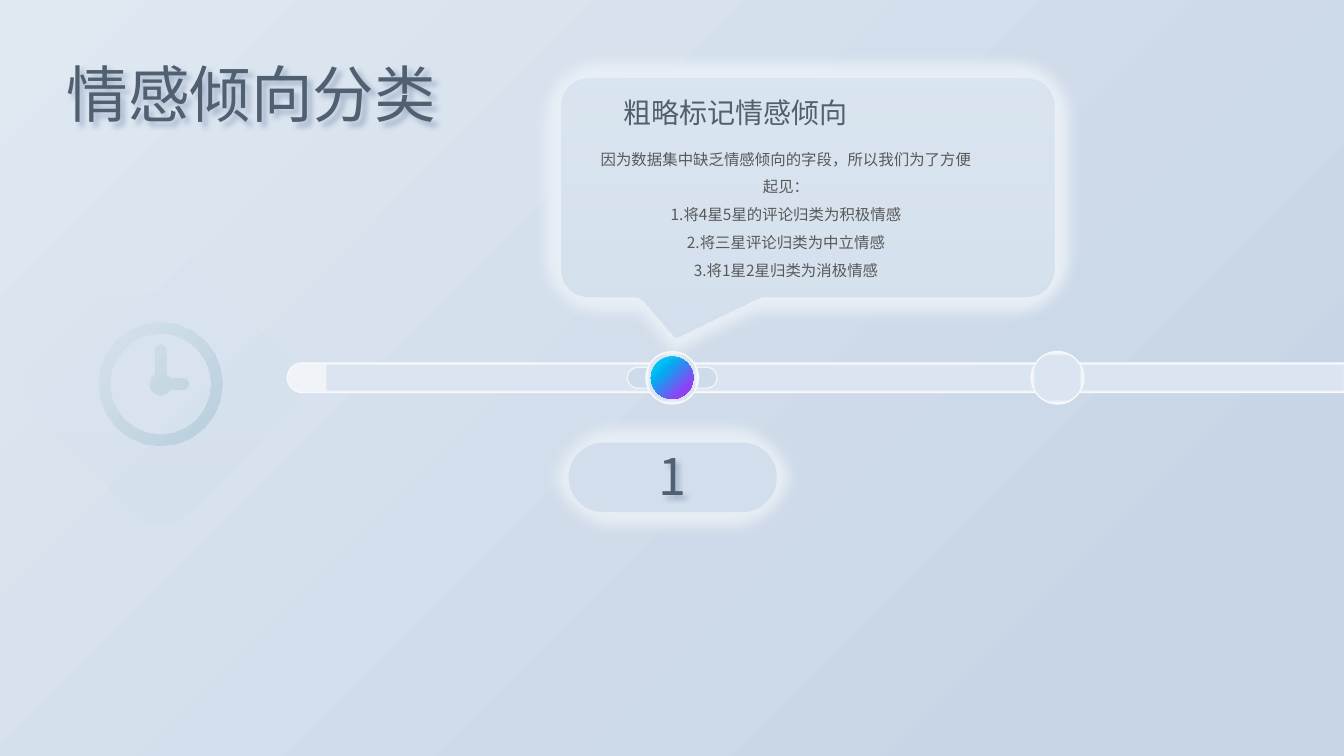
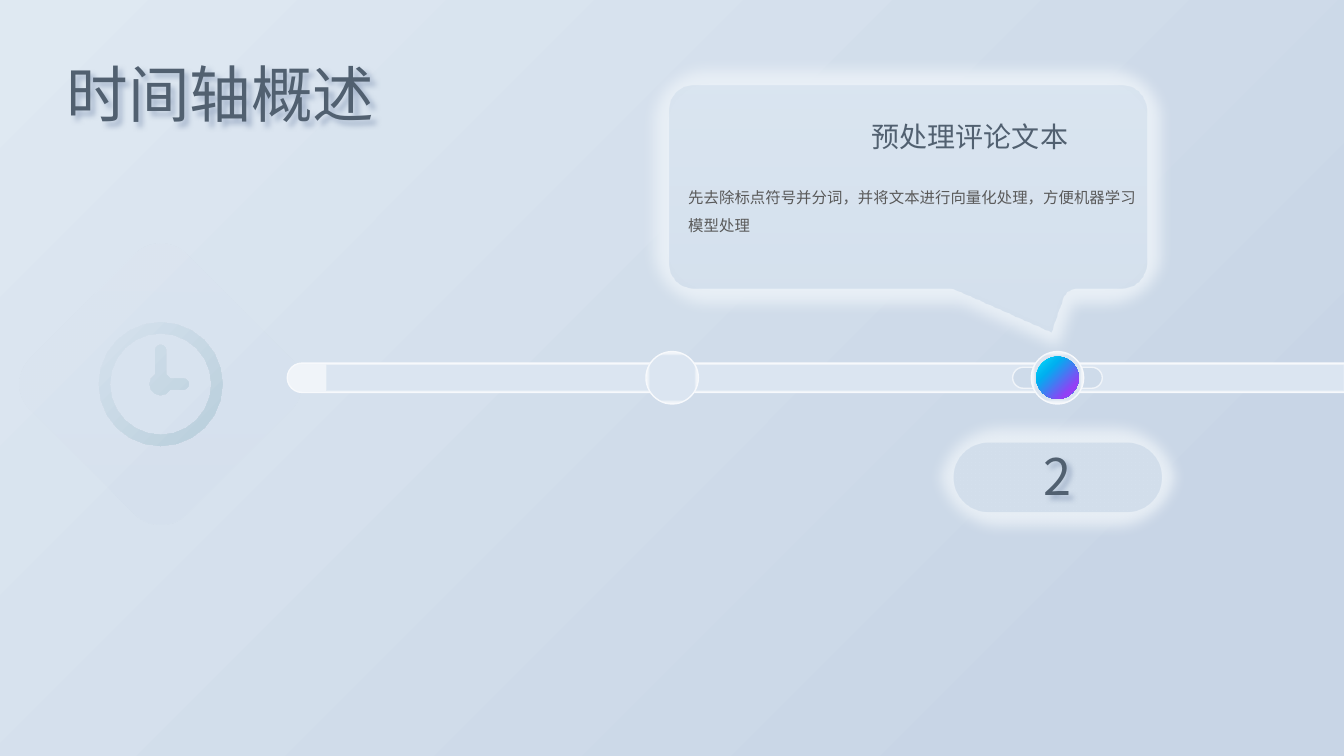
"""Build two timeline slides with soft, glowing callouts."""
import math

from lxml import etree
from pptx import Presentation
from pptx import util as u
from pptx.dml.color import RGBColor
from pptx.enum import shapes as shape_kinds, text
from pptx.oxml import ns

SHAPE = shape_kinds.MSO_SHAPE
ALIGN = text.PP_ALIGN
CJK_JP, CJK_SC = "Noto Sans CJK JP", "Noto Sans CJK SC"
INK, BODY_INK = "516070", "595959"
EDGE, CAPSULE, PILL, HALO = "F7F9FC", "CEDBEA", "D4E0ED", "E8EFF6"
BACKGROUND = [(0, "DFE9F2"), (85, "C8D5E6")]
RAIL = [(84, "DBE5F1"), (93, "F0F4F9")]
ACCENT = [(0, "04DFFB"), (31, "00B0F0"), (79, "9340F5")]
BUBBLE = [(0, "DAE5F0"), (100, "D4E0ED")]
CLOCK = [(0, "D6E2EE"), (100, "B8CEDB")]

TITLE_BOX = (1.42, 1.27, 11.58, 2.13)
STOPS_X = (16.94, 26.65)
AXIS_Y, PILL_Y, NUMBER_Y = 9.52, 12.02, 11.98
CLOCK_CENTER = (4.05, 9.68)

SLIDES = [
    {
        "title": "情感倾向分类",
        "heading": "粗略标记情感倾向",
        "heading_box": (15.42, 2.28, 6.22, 1.12),
        "heading_align": ALIGN.CENTER,
        "body": [
            "因为数据集中缺乏情感倾向的字段，所以我们为了方便起见：",
            "1.将4星5星的评论归类为积极情感",
            "2.将三星评论归类为中立情感",
            "3.将1星2星归类为消极情感",
        ],
        "body_box": (14.87, 3.4, 9.88, 3.78),
        "body_align": ALIGN.CENTER,
        "body_font": CJK_JP,
        "bubble": (13.77, 1.6, 13.13, 6.22),
        "tip": (-0.26, 0.68),
    },
    {
        "title": "时间轴概述",
        "heading": "预处理评论文本",
        "heading_box": (18.05, 2.87, 9.12, 1.12),
        "heading_align": ALIGN.RIGHT,
        "body": ["先去除标点符号并分词，并将文本进行向量化处理，方便机器学习模型处理"],
        "body_box": (17.09, 4.39, 11.81, 1.65),
        "body_align": ALIGN.LEFT,
        "body_font": CJK_SC,
        "bubble": (16.5, 1.78, 12.73, 5.82),
        "tip": (0.3, 0.71),
    },
]


def color(value):
    return RGBColor.from_string(value)


def add_element(parent, tag, **attributes):
    element = etree.SubElement(parent, ns.qn(tag))
    for name, value in attributes.items():
        element.set(name, str(value))
    return element


def set_gradient(fill, parent, stops, angle=None, opacity=100):
    """Fill with colour stops, along an angle or from the centre outwards."""
    fill.solid()
    solid = parent.find(ns.qn("a:solidFill"))
    gradient = etree.Element(ns.qn("a:gradFill"), rotWithShape="1")
    stop_list = add_element(gradient, "a:gsLst")
    for position, value in stops:
        stop = add_element(stop_list, "a:gs", pos=position * 1000)
        tint = add_element(stop, "a:srgbClr", val=value)
        if opacity < 100:
            add_element(tint, "a:alpha", val=opacity * 1000)
    if angle is None:
        center = add_element(gradient, "a:path", path="shape")
        add_element(center, "a:fillToRect", l=50000, t=50000, r=50000, b=50000)
    else:
        add_element(gradient, "a:lin", ang=angle * 60000, scaled=0)
    parent.replace(solid, gradient)


def add_effect(shape, tag, **attributes):
    shape.shadow.inherit = False
    effects = shape.element.spPr.find(ns.qn("a:effectLst"))
    return add_element(effects, tag, **attributes)


def add_text_shadow(shape):
    shadow = add_effect(shape, "a:outerShdw", blurRad=u.Pt(4), dist=u.Pt(4),
                        dir=45 * 60000, algn="tl", rotWithShape=0)
    tint = add_element(shadow, "a:srgbClr", val="8497B5")
    add_element(tint, "a:alpha", val=60000)


def soften(shape, points):
    add_effect(shape, "a:softEdge", rad=u.Pt(points))


def centered(x, y, width, height):
    return x - width / 2, y - height / 2, width, height


def place(shape, box):
    shape.left, shape.top, shape.width, shape.height = map(u.Cm, box)


def style(shape, fill, angle=None, opacity=100, line=None, line_width=1):
    shape.shadow.inherit = False
    if isinstance(fill, str):
        shape.fill.solid()
        shape.fill.fore_color.rgb = color(fill)
    else:
        set_gradient(shape.fill, shape.element.spPr, fill, angle, opacity)
    if line:
        shape.line.color.rgb = color(line)
        shape.line.width = u.Pt(line_width)
    else:
        shape.line.fill.background()


def add_shape(slide, kind, box, fill, adjustments=(), **options):
    shape = slide.shapes.add_shape(kind, *map(u.Cm, box))
    for index, value in enumerate(adjustments):
        shape.adjustments[index] = value
    style(shape, fill, **options)
    return shape


def write(shape, lines, size, ink=INK, font=CJK_JP, align=ALIGN.LEFT, spacing=1.0):
    frame = shape.text_frame
    frame.word_wrap = True
    frame.auto_size = text.MSO_AUTO_SIZE.NONE
    frame.vertical_anchor = text.MSO_ANCHOR.MIDDLE
    frame.text = "\n".join(lines)
    for paragraph in frame.paragraphs:
        properties = paragraph._p.get_or_add_pPr()
        properties.set("marL", "0")
        properties.set("indent", "0")
        add_element(properties, "a:buNone")
        paragraph.alignment = align
        paragraph.line_spacing = spacing
        paragraph.space_before = u.Pt(0)
        for run in paragraph.runs:
            run.font.size = u.Pt(size)
            run.font.name = font
            run.font.color.rgb = color(ink)
            add_element(run.font._element, "a:ea", typeface=font)


def add_text(slide, box, line, size, align):
    shape = slide.shapes.add_textbox(*map(u.Cm, box))
    write(shape, [line], size, align=align)
    return shape


def arc(x, y, radius, start, end, step=30):
    """Return points about the clock centre, from one angle to another."""
    steps = abs(end - start) // step
    angles = [math.radians(start + (end - start) * i / steps) for i in range(steps + 1)]
    center_x, center_y = CLOCK_CENTER
    return [(u.Cm(center_x + x + radius * math.cos(a)),
             u.Cm(center_y + y + radius * math.sin(a))) for a in angles]


def add_clock(slide):
    tile = add_shape(slide, SHAPE.ROUNDED_RECTANGLE, centered(*CLOCK_CENTER, 5.56, 5.56),
                     BACKGROUND, angle=45, opacity=6)
    tile.rotation = 45
    hub, hand = 0.28, 0.14
    hands = (arc(0.57, 0, hand, -90, 90) + arc(0, 0, hub, 30, 240)
             + arc(0, -0.85, hand, 180, 360) + arc(0, 0, hub, 300, 330))
    rim = arc(0, 0, 1.56, 0, 360, step=15)
    builder = slide.shapes.build_freeform(*rim[0], scale=1.0)
    builder.add_line_segments(rim[1:-1], close=True)
    for contour in (arc(0, 0, 1.28, 360, 0, step=15)[:-1], hands):
        builder.move_to(*contour[0])
        builder.add_line_segments(contour[1:], close=True)
    style(builder.convert_to_shape(), CLOCK, angle=45)


def add_timeline(slide, active):
    x = STOPS_X[active]
    base = add_shape(slide, SHAPE.ROUNDED_RECTANGLE, centered(x, PILL_Y, 5.99, 2.26),
                     CAPSULE, [0.47], line=EDGE)
    soften(base, 4)
    add_shape(slide, SHAPE.ROUNDED_RECTANGLE, (7.24, AXIS_Y - 0.37, 27.61, 0.74),
              RAIL, [0.5], line=EDGE)
    add_shape(slide, SHAPE.ROUNDED_RECTANGLE, centered(x, AXIS_Y, 2.26, 0.53),
              CAPSULE, [0.5], line="F0F4F9")
    for stop_x in STOPS_X:
        add_shape(slide, SHAPE.OVAL, centered(stop_x, AXIS_Y, 1.32, 1.32), RAIL, line=EDGE)
    add_shape(slide, SHAPE.OVAL, centered(x, AXIS_Y, 1.07, 1.07), ACCENT, angle=45)
    pill = add_shape(slide, SHAPE.ROUNDED_RECTANGLE, centered(x, PILL_Y, 5.94, 2.44),
                     PILL, [0.5], line=HALO, line_width=20)
    soften(pill, 10)
    number = add_text(slide, centered(x, NUMBER_Y, 4.85, 1.8), str(active + 1), 36,
                      ALIGN.CENTER)
    add_text_shadow(number)


def build_slide(presentation, layout, index, content):
    slide = presentation.slides.add_slide(layout)
    title, body = slide.placeholders
    write(title, [content["title"]], 44)
    add_text_shadow(title)
    add_clock(slide)
    add_timeline(slide, index)
    bubble = add_shape(slide, SHAPE.ROUNDED_RECTANGULAR_CALLOUT, content["bubble"], BUBBLE,
                       (*content["tip"], 0.17), angle=90, line=HALO, line_width=20)
    soften(bubble, 10)
    add_text(slide, content["heading_box"], content["heading"], 20, content["heading_align"])
    place(body, content["body_box"])
    write(body, content["body"], 11, BODY_INK, content["body_font"],
          content["body_align"], 1.5)
    body.element.getparent().append(body.element)


def main():
    presentation = Presentation()
    presentation.slide_width, presentation.slide_height = u.Cm(33.87), u.Cm(19.05)
    background = presentation.slide_master.background.fill
    background.solid()
    properties = presentation.slide_master.element.find(".//" + ns.qn("p:bgPr"))
    set_gradient(background, properties, BACKGROUND, 45)
    layout = presentation.slide_layouts[1]
    place(layout.placeholders[0], TITLE_BOX)
    for index, content in enumerate(SLIDES):
        build_slide(presentation, layout, index, content)
    presentation.save("out.pptx")


if __name__ == "__main__":
    main()
